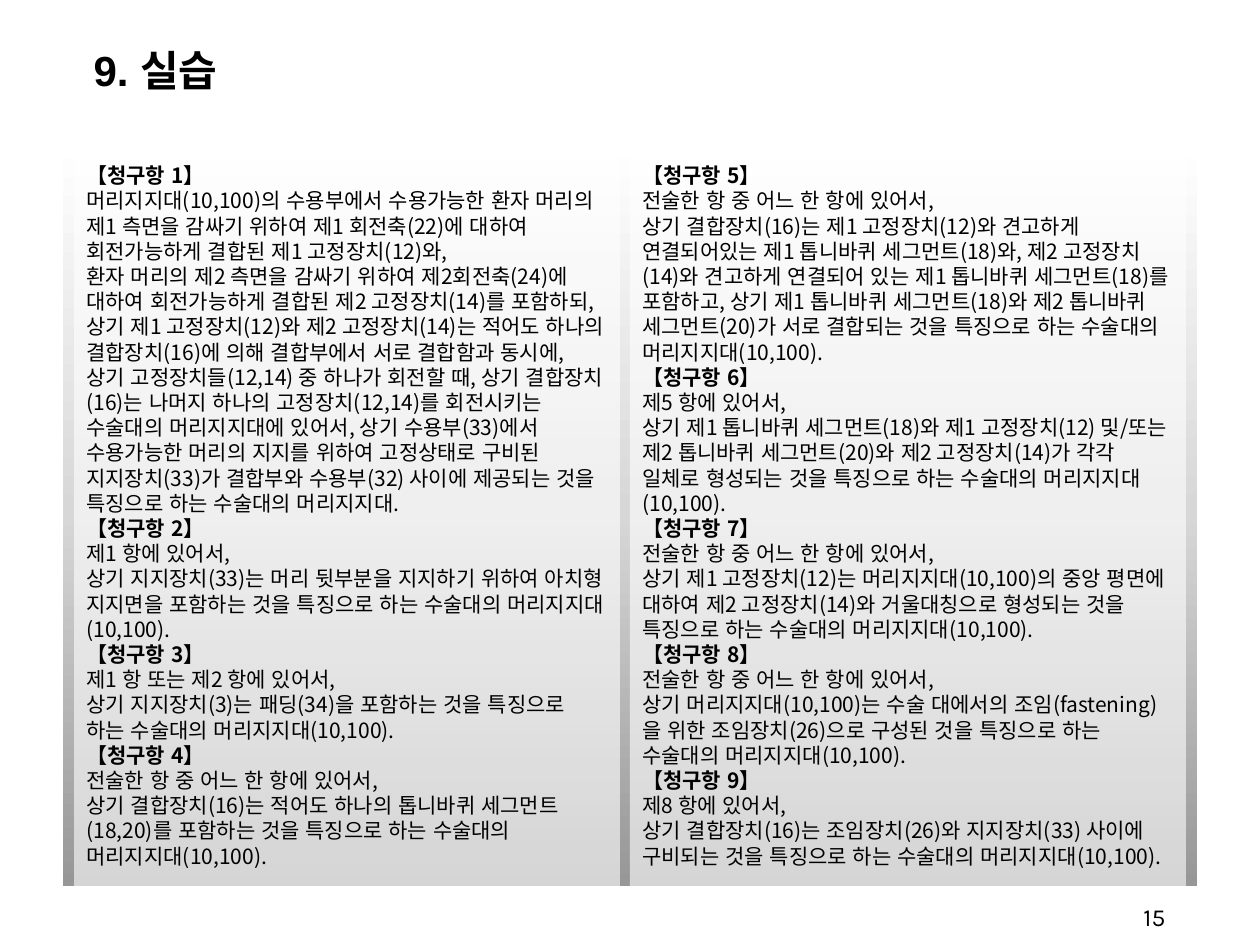
import copy

import lxml.etree
import pptx
import pptx.dml.color
import pptx.enum.shapes
import pptx.enum.text
import pptx.oxml.ns
import pptx.util

PX = 914400 / 126
SANS = "Noto Sans CJK KR"
BLACK = "000000"
ANCHOR = pptx.enum.text.MSO_ANCHOR
qn = pptx.oxml.ns.qn

LEFT_CLAIMS = [
    (1, ["머리지지대(10,100)의 수용부에서 수용가능한 환자 머리의 제1 측면을 감싸기 위하여 제1 회전축(22)에 대하여 회전가능하게 결합된 제1 고정장치(12)와,",
         "환자 머리의 제2 측면을 감싸기 위하여 제2회전축(24)에 대하여 회전가능하게 결합된 제2 고정장치(14)를 포함하되,",
         "상기 제1 고정장치(12)와 제2 고정장치(14)는 적어도 하나의 결합장치(16)에 의해 결합부에서 서로 결합함과 동시에, "
         "상기 고정장치들(12,14) 중 하나가 회전할 때, 상기 결합장치(16)는 나머지 하나의 고정장치(12,14)를 회전시키는 수술대의 머리지지대에 있어서, "
         "상기 수용부(33)에서 수용가능한 머리의 지지를 위하여 고정상태로 구비된 지지장치(33)가 결합부와 수용부(32) 사이에 제공되는 것을 특징으로 하는 수술대의 머리지지대."]),
    (2, ["제1 항에 있어서,",
         "상기 지지장치(33)는 머리 뒷부분을 지지하기 위하여 아치형 지지면을 포함하는 것을 특징으로 하는 수술대의 머리지지대(10,100)."]),
    (3, ["제1 항 또는 제2 항에 있어서,",
         "상기 지지장치(3)는 패딩(34)을 포함하는 것을 특징으로 하는 수술대의 머리지지대(10,100)."]),
    (4, ["전술한 항 중 어느 한 항에 있어서,",
         "상기 결합장치(16)는 적어도 하나의 톱니바퀴 세그먼트(18,20)를 포함하는 것을 특징으로 하는 수술대의 머리지지대(10,100)."]),
]
RIGHT_CLAIMS = [
    (5, ["전술한 항 중 어느 한 항에 있어서,",
         "상기 결합장치(16)는 제1 고정장치(12)와 견고하게 연결되어있는 제1 톱니바퀴 세그먼트(18)와, "
         "제2 고정장치(14)와 견고하게 연결되어 있는 제1 톱니바퀴 세그먼트(18)를 포함하고, "
         "상기 제1 톱니바퀴 세그먼트(18)와 제2 톱니바퀴 세그먼트(20)가 서로 결합되는 것을 특징으로 하는 수술대의 머리지지대(10,100)."]),
    (6, ["제5 항에 있어서,",
         "상기 제1 톱니바퀴 세그먼트(18)와 제1 고정장치(12) 및/또는 제2 톱니바퀴 세그먼트(20)와 제2 고정장치(14)가 "
         "각각 일체로 형성되는 것을 특징으로 하는 수술대의 머리지지대(10,100)."]),
    (7, ["전술한 항 중 어느 한 항에 있어서,",
         "상기 제1 고정장치(12)는 머리지지대(10,100)의 중앙 평면에 대하여 제2 고정장치(14)와 거울대칭으로 형성되는 것을 특징으로 하는 수술대의 머리지지대(10,100)."]),
    (8, ["전술한 항 중 어느 한 항에 있어서,",
         "상기 머리지지대(10,100)는 수술 대에서의 조임(fastening)을 위한 조임장치(26)으로 구성된 것을 특징으로 하는 수술대의 머리지지대(10,100)."]),
    (9, ["제8 항에 있어서,",
         "상기 결합장치(16)는 조임장치(26)와 지지장치(33) 사이에 구비되는 것을 특징으로 하는 수술대의 머리지지대(10,100)."]),
]


def emu(px):
    return round(px * PX)


def color(value):
    return pptx.dml.color.RGBColor.from_string(value)


def style(para, name, size, bold=False):
    para.alignment = pptx.enum.text.PP_ALIGN.LEFT
    font = para.font
    font.name, font.size, font.bold = name, pptx.util.Pt(size), bold
    font.color.rgb = color(BLACK)


def add_panel(page, box):
    panel = page.shapes.add_shape(
        pptx.enum.shapes.MSO_SHAPE.RECTANGLE, *map(emu, box))
    panel.shadow.inherit = False
    panel.line.fill.background()
    return panel


def add_backdrop(page, box):
    backdrop = add_panel(page, box)
    fill = backdrop.fill
    fill.gradient()
    fill.gradient_angle = 90
    stops = backdrop._element.spPr.find(".//" + qn("a:gsLst"))
    stops.insert(1, copy.deepcopy(stops[0]))
    shades = [(0, "979797"), (0.5, "D7D7D7"), (1, "FFFFFF")]
    for stop, (position, shade) in zip(fill.gradient_stops, shades):
        stop.position = position
        stop.color.rgb = color(shade)


def add_title(page, box, text):
    title = page.shapes.title
    title.left, title.top, title.width, title.height = map(emu, box)
    frame = title.text_frame
    frame.auto_size = pptx.enum.text.MSO_AUTO_SIZE.NONE
    frame.vertical_anchor = ANCHOR.MIDDLE
    frame.text = text
    para = frame.paragraphs[0]
    para.line_spacing = 1.3
    style(para, "Arial", 24, bold=True)


def add_claims(page, box, claims):
    column = add_panel(page, box)
    column.fill.solid()
    column.fill.fore_color.rgb = color("FFFFFF")
    white = column._element.spPr.find(".//" + qn("a:srgbClr"))
    lxml.etree.SubElement(white, qn("a:alpha")).set("val", "60000")
    frame = column.text_frame
    frame.word_wrap = True
    frame.vertical_anchor = ANCHOR.MIDDLE
    lines = []
    for number, texts in claims:
        lines.append((f"【청구항 {number}】", True))
        lines += [(text, False) for text in texts]
    for index, (text, bold) in enumerate(lines):
        para = frame.add_paragraph() if index else frame.paragraphs[0]
        para.text = text
        para.line_spacing = pptx.util.Pt(14.4)
        style(para, SANS, 12, bold)
        defaults = para._p.pPr.find(qn("a:defRPr"))
        lxml.etree.SubElement(defaults, qn("a:ea")).set("typeface", "Arial")


def add_page_number(page, box, number):
    frame = page.shapes.add_textbox(*map(emu, box)).text_frame
    frame.word_wrap = True
    frame.text = str(number)
    style(frame.paragraphs[0], "Karla", 14)


def main():
    deck = pptx.Presentation()
    deck.slide_width, deck.slide_height = emu(1260), emu(945)
    page = deck.slides.add_slide(deck.slide_layouts[5])
    add_backdrop(page, (63, 140, 1134, 746))
    add_title(page, (81, 9, 1130, 106), "9. 실습")
    add_page_number(page, (1131, 896, 79, 43), 15)
    add_claims(page, (74, 145, 546, 741), LEFT_CLAIMS)
    add_claims(page, (630, 145, 556, 741), RIGHT_CLAIMS)
    deck.save("out.pptx")


if __name__ == "__main__":
    main()
